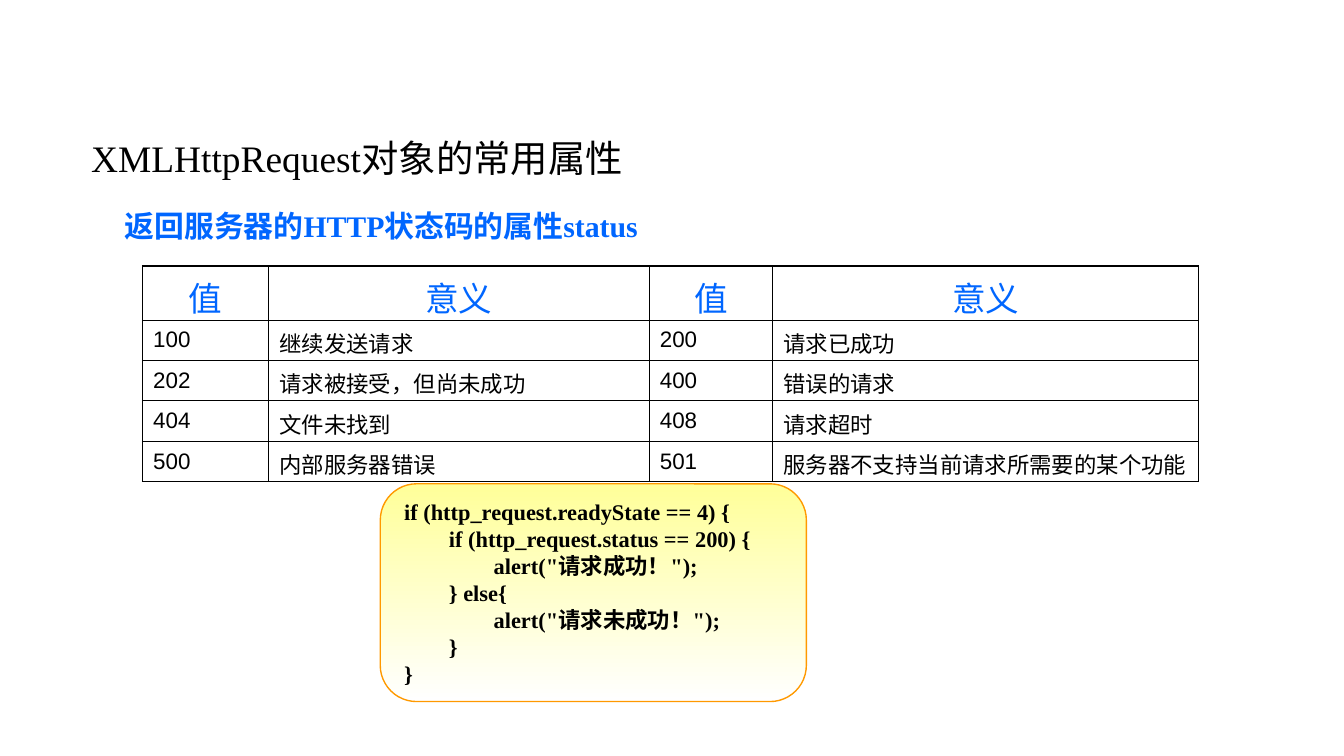
"""Build the slide on the HTTP status property of XMLHttpRequest."""
from lxml.etree import SubElement
from pptx import Presentation
from pptx.dml.color import RGBColor
from pptx.enum.shapes import MSO_SHAPE
from pptx.enum.text import MSO_ANCHOR, MSO_AUTO_SIZE, PP_ALIGN
from pptx.oxml.ns import qn
from pptx.util import Inches, Pt

THEME = dict(
    ink="000000", accent="0066FF", line="FF9900", fade=("FFFF99", "FFFFFF"),
    serif="Times New Roman", sans="Arial",
    title=20, subtitle=16, head=18, body=12, inner=0.45, outer=0.74)

WIDTH = 10
HEIGHT = WIDTH * 9 / 16
HEADINGS = [
    ("XMLHttpRequest对象的常用属性", (0.58, 0.96, 4.25, 0.44), "title", "ink", False),
    ("返回服务器的HTTP状态码的属性status", (0.83, 1.5, 4.25, 0.37), "subtitle", "accent", True),
]
STATUS = [
    ("值", "意义", "值", "意义"),
    ("100", "继续发送请求", "200", "请求已成功"),
    ("202", "请求被接受，但尚未成功", "400", "错误的请求"),
    ("404", "文件未找到", "408", "请求超时"),
    ("500", "内部服务器错误", "501", "服务器不支持当前请求所需要的某个功能"),
]
COLS = (0.94, 2.83, 0.92, 3.17)
ROWS = (0.4, 0.27, 0.25, 0.25, 0.25)
CODE = [
    (0, "if (http_request.readyState == 4) {"),
    (1, "if (http_request.status == 200) {"),
    (2, 'alert("请求成功！");'),
    (1, "} else{"),
    (2, 'alert("请求未成功！");'),
    (1, "}"),
    (0, "}"),
]
CODE_INDENT = Pt(24)


def box(*lengths):
    return [Inches(v) for v in lengths]


def style(p, size, color, font="serif", bold=False):
    p.font.size, p.font.name, p.font.bold = Pt(THEME[size]), THEME[font], bold
    p.font.color.rgb = RGBColor.from_string(THEME[color])


def border(cell, outer_sides):
    tcPr = cell._tc.get_or_add_tcPr()
    for side in "LRTB":
        weight = THEME["outer" if side in outer_sides else "inner"]
        ln = SubElement(tcPr, qn(f"a:ln{side}"), w=str(int(Pt(weight))))
        SubElement(SubElement(ln, qn("a:solidFill")), qn("a:srgbClr"), val=THEME["ink"])


def add_heading(s, text, place, size, color, bold):
    tf = s.shapes.add_textbox(*box(*place)).text_frame
    tf.word_wrap, tf.auto_size = True, MSO_AUTO_SIZE.SHAPE_TO_FIT_TEXT
    tf.text = text
    style(tf.paragraphs[0], size, color, bold=bold)


def add_status_table(s):
    table = s.shapes.add_table(
        len(ROWS), len(COLS), *box(1.06, 1.98, sum(COLS), sum(ROWS))).table
    table.first_row = table.horz_banding = False
    for col, width in zip(table.columns, COLS):
        col.width = Inches(width)
    for i, (row, height) in enumerate(zip(table.rows, ROWS)):
        row.height = Inches(height)
        for j, cell in enumerate(row.cells):
            cell.text = STATUS[i][j]
            cell.vertical_anchor = MSO_ANCHOR.MIDDLE
            p = cell.text_frame.paragraphs[0]
            if i == 0:
                p.alignment = PP_ALIGN.CENTER
                style(p, "head", "accent", "sans")
            else:
                p.alignment = PP_ALIGN.JUSTIFY
                p.space_before = p.space_after = Pt(1.2)
                cell.margin_left = cell.margin_right = Inches(0.08)
                style(p, "body", "ink", "sans")
            border(cell, "L" * (j == 0) + "R" * (j == len(COLS) - 1) + "T" * (i == 0))
            cell.fill.background()


def add_code(s):
    sp = s.shapes.add_shape(MSO_SHAPE.ROUNDED_RECTANGLE, *box(2.83, 3.6, 3.17, 1.62))
    sp.shadow.inherit = False
    sp.fill.gradient()
    sp.fill.gradient_angle = 270
    for stop, color in zip(sp.fill.gradient_stops, THEME["fade"]):
        stop.color.rgb = RGBColor.from_string(color)
    sp.line.color.rgb = RGBColor.from_string(THEME["line"])
    sp.line.width = Pt(THEME["outer"])
    tf = sp.text_frame
    tf.word_wrap, tf.vertical_anchor = False, MSO_ANCHOR.MIDDLE
    tf.text = "\n".join(text for _, text in CODE)
    for p, (level, _) in zip(tf.paragraphs, CODE):
        p.alignment = PP_ALIGN.LEFT
        p._p.get_or_add_pPr().set("marL", str(level * CODE_INDENT))
        style(p, "body", "ink", bold=True)


prs = Presentation()
prs.slide_width, prs.slide_height = box(WIDTH, HEIGHT)
s = prs.slides.add_slide(prs.slide_layouts[6])
for heading in HEADINGS:
    add_heading(s, *heading)
add_status_table(s)
add_code(s)
prs.save("out.pptx")
